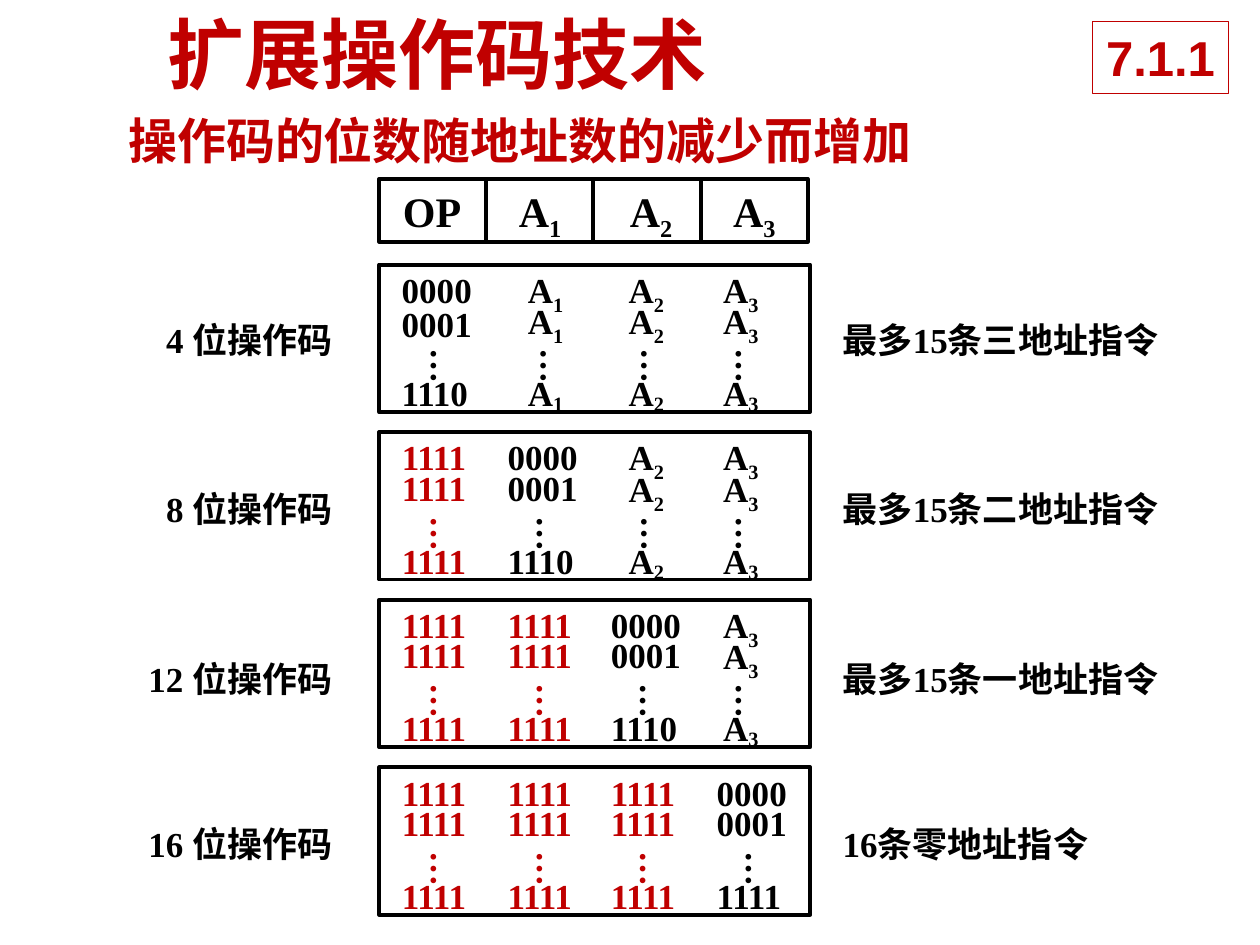
from dataclasses import dataclass

from pptx import Presentation
from pptx.dml.color import RGBColor
from pptx.enum import shapes, text
from pptx.util import Inches, Pt

COLORS = {"black": "000000", "red": "C00000", "white": "FFFFFF"}
SERIF = "Times New Roman"


@dataclass
class Block:
    label: str
    label_x: float
    label_w: float
    label_y: float
    note: str
    note_w: float
    last: str = "1110"
    step: float = 0.24


BLOCKS = [
    Block("4 位操作码", 1.22, 1.53, 2.48, "最多15条三地址指令", 3.41, step=0.27),
    Block("8 位操作码", 1.22, 1.53, 3.82, "最多15条二地址指令", 2.97),
    Block("12 位操作码", 1.08, 1.67, 5.17, "最多15条一地址指令", 2.89),
    Block("16 位操作码", 1.08, 1.67, 6.48, "16条零地址指令", 2.16, last="1111"),
]
CODE_X = [3.09, 3.93, 4.75, 5.59]      # columns holding opcode bits
ADDR_X = [None, 4.09, 4.89, 5.64]      # columns holding addresses
BLOCK_X, BLOCK_Y, BLOCK_W, BLOCK_H, PITCH = 3.01, 2.1, 3.42, 1.17, 1.33


def color(name: str) -> RGBColor:
    return RGBColor.from_string(COLORS[name])


def write(frame, words: str, size: float = 20, ink: str = "black",
          face: str = SERIF, sub: str = "", drop: int = 25,
          align=text.PP_ALIGN.LEFT) -> None:
    para = frame.paragraphs[0]
    para.alignment = align
    for part in filter(None, (words, sub)):
        run = para.add_run()
        run.text = part
        font = run.font
        font.name, font.size, font.bold = face, Pt(size), True
        font.color.rgb = color(ink)
    if sub:
        run._r.get_or_add_rPr().set("baseline", str(-drop * 1000))


def label(slide, words: str, x: float, y: float, w: float, h: float = 0.43,
          wrap: bool = False, upright: bool = False, **style) -> None:
    frame = slide.shapes.add_textbox(
        Inches(x), Inches(y), Inches(w), Inches(h)).text_frame
    frame.word_wrap = wrap
    frame.auto_size = text.MSO_AUTO_SIZE.SHAPE_TO_FIT_TEXT
    if upright:
        frame._txBody.bodyPr.set("vert", "eaVert")
    write(frame, words, **style)


def box(slide, x: float, y: float, w: float, h: float, line: str = "black",
        weight: float = 2.25, fill: str = ""):
    rect = slide.shapes.add_shape(shapes.MSO_SHAPE.RECTANGLE, Inches(x),
                                  Inches(y), Inches(w), Inches(h))
    rect.shadow.inherit = False
    rect.line.color.rgb = color(line)
    rect.line.width = Pt(weight)
    if fill:
        rect.fill.solid()
        rect.fill.fore_color.rgb = color(fill)
    else:
        rect.fill.background()
    return rect


def column(slide, block: Block, row: int, col: int, top: float) -> None:
    """Draw two lines, vertical dots and a closing line."""
    ink = "red" if col < row else "black"
    if col > row:
        x, width, shift = ADDR_X[col], 0.49, 0
        lines, sub, step = ["A"] * 3, str(col), 0.25
    else:
        x, width, shift = CODE_X[col], 0.76, 0.13
        lines, sub, step = ["0000", "0001", block.last], "", block.step
        if col < row:
            lines, width = ["1111"] * 3, 0.72
    for words, down, drop in zip(lines, (0, step, 0.82), (25, 25, 15)):
        label(slide, words, x, top - 0.02 + down, width, ink=ink, sub=sub, drop=drop)
    label(slide, "…", x + shift, top + 0.57, 0.53, 0.38, upright=True, ink=ink)


def main() -> None:
    deck = Presentation()
    deck.slide_width, deck.slide_height = Inches(10), Inches(7.5)
    slide = deck.slides.add_slide(deck.slide_layouts[5])

    # Title, subtitle and section number
    title = slide.shapes.title
    title.left, title.top = Inches(1.23), Inches(0)
    title.width, title.height = Inches(8.42), Inches(0.83)
    title.text_frame.auto_size = text.MSO_AUTO_SIZE.NONE
    title.text_frame.vertical_anchor = text.MSO_ANCHOR.MIDDLE
    write(title.text_frame, "扩展操作码技术", size=44, ink="red")
    label(slide, "操作码的位数随地址数的减少而增加", 0.92, 0.83, 7.23, 0.57,
          wrap=True, size=28, ink="red")
    badge = box(slide, 8.67, 0.17, 1.08, 0.57, "red", 0.75, "white")
    badge.text_frame.word_wrap = False
    write(badge.text_frame, "7.1.1", size=28, ink="red", face="Arial",
          align=text.PP_ALIGN.CENTER)

    # Instruction format
    heads = [("OP", "", 3.1, 0.66), ("A", "1", 4.02, 0.56),
             ("A", "2", 4.9, 0.56), ("A", "3", 5.72, 0.56)]
    for col, (words, sub, x, width) in enumerate(heads):
        box(slide, BLOCK_X + col * 0.85, 1.42, 0.85, 0.5)
        label(slide, words, x, 1.42, width, 0.5, size=24, sub=sub)

    # Opcode blocks with their labels
    for row, block in enumerate(BLOCKS):
        top = BLOCK_Y + row * PITCH
        box(slide, BLOCK_X, top, BLOCK_W, BLOCK_H)
        for col in range(len(CODE_X)):
            column(slide, block, row, col, top)
        label(slide, block.label, block.label_x, block.label_y,
              block.label_w, wrap=True)
        label(slide, block.note, 6.59, block.label_y, block.note_w, wrap=True)

    deck.save("out.pptx")


if __name__ == "__main__":
    main()
